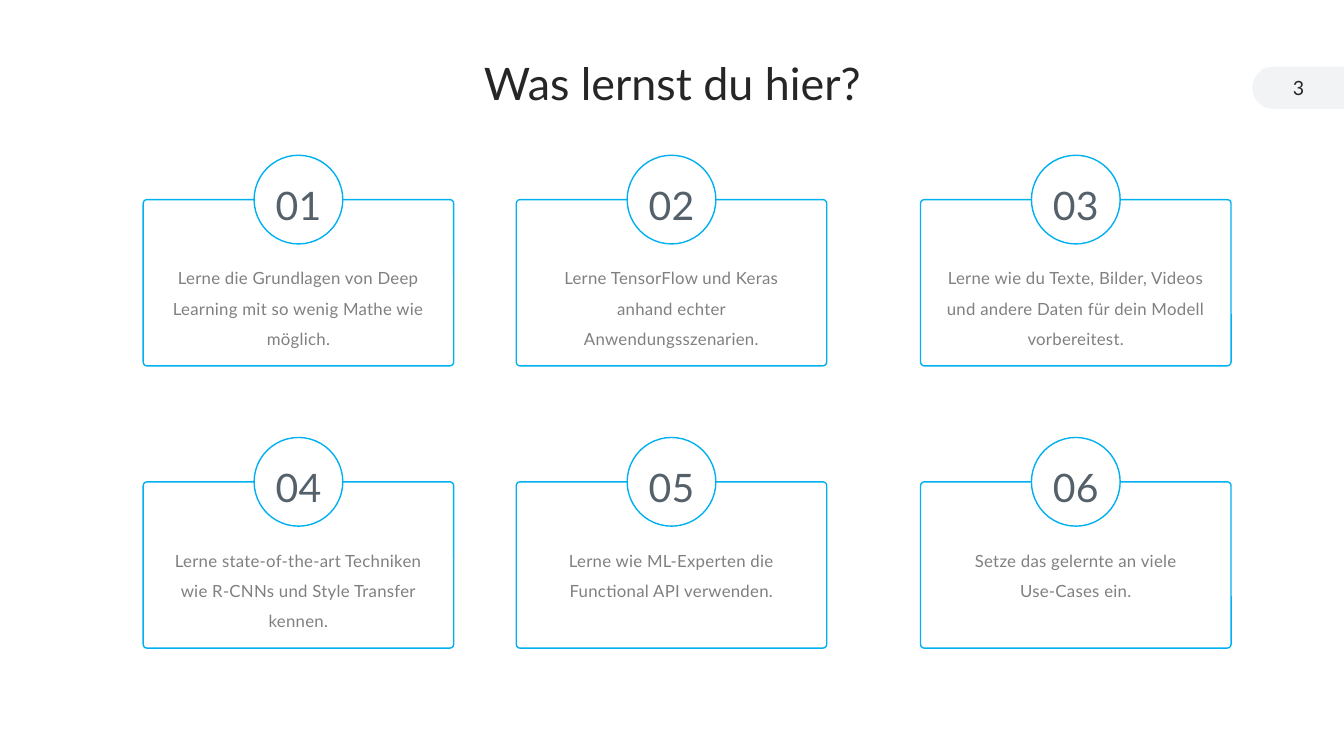
from dataclasses import dataclass

from pptx import Presentation
from pptx.dml.color import RGBColor
from pptx.enum.shapes import MSO_SHAPE
from pptx.enum.text import MSO_ANCHOR, PP_ALIGN
from pptx.util import Inches, Pt

TITLE = "Was lernst du hier?"
PAGE = "3"
GOALS = [
    "Lerne die Grundlagen von Deep Learning mit so wenig Mathe wie möglich.",
    "Lerne TensorFlow und Keras anhand echter Anwendungsszenarien.",
    "Lerne wie du Texte, Bilder, Videos und andere Daten für dein Modell vorbereitest.",
    "Lerne state-of-the-art Techniken wie R-CNNs und Style Transfer kennen.",
    "Lerne wie ML-Experten die Functional API verwenden.",
    "Setze das gelernte an viele\nUse-Cases ein.",
]


@dataclass(frozen=True)
class Theme:
    font: str = "Lato"
    ink: str = "262626"
    digit: str = "55616A"
    body: str = "808080"
    edge: str = "00B0F0"
    paper: str = "FFFFFF"
    tab: str = "F1F3F5"
    title_size: int = 32
    digit_size: int = 28
    page_size: int = 14
    body_size: int = 12


LOOK = Theme()
COLS = (1.42, 5.12, 9.13)
ROWS = (1.98, 4.78)
CARD_W, CARD_H = 3.08, 1.65
DISC = 0.88
DIGIT_W, DIGIT_H = 0.46, 0.69
BODY_W, BODY_H = 2.72, 0.97


def add_text(shapes, text, box, size, color, middle=False, lead=1.0, gap=0, wrap=True):
    """Add centred text; gap is letter spacing in hundredths of a point."""
    frame = shapes.add_textbox(*map(Inches, box)).text_frame
    frame.word_wrap = wrap
    frame.margin_left = frame.margin_right = 0
    frame.margin_top = frame.margin_bottom = Inches(0.05)
    frame.vertical_anchor = MSO_ANCHOR.MIDDLE if middle else MSO_ANCHOR.TOP
    for i, line in enumerate(text.split("\n")):
        para = frame.add_paragraph() if i else frame.paragraphs[0]
        para.alignment = PP_ALIGN.CENTER
        para.line_spacing = lead
        run = para.add_run()
        run.text = line
        run.font.name = LOOK.font
        run.font.size = Pt(size)
        run.font.color.rgb = RGBColor.from_string(color)
        if gap:
            run.font._element.set("spc", str(gap))


def add_form(shapes, kind, box, fill, edge=None):
    form = shapes.add_shape(kind, *map(Inches, box))
    form.shadow.inherit = False
    form.fill.solid()
    form.fill.fore_color.rgb = RGBColor.from_string(fill)
    if edge:
        form.line.color.rgb = RGBColor.from_string(edge)
        form.line.width = Pt(1)
    else:
        form.line.fill.background()
    return form


def add_card(slide, left, top, digit, text):
    shapes = slide.shapes.add_group_shape().shapes
    mid = left + CARD_W / 2
    card = add_form(shapes, MSO_SHAPE.ROUNDED_RECTANGLE,
                    (left, top, CARD_W, CARD_H), LOOK.paper, LOOK.edge)
    card.adjustments[0] = 0.023
    add_form(shapes, MSO_SHAPE.OVAL,
             (mid - DISC / 2, top - DISC / 2, DISC, DISC), LOOK.paper, LOOK.edge)
    add_text(shapes, digit, (mid - DIGIT_W / 2, top - DIGIT_H / 2, DIGIT_W, DIGIT_H),
             LOOK.digit_size, LOOK.digit, lead=1.25, gap=20, wrap=False)
    add_text(shapes, text, (mid - BODY_W / 2, top + 0.53, BODY_W, BODY_H),
             LOOK.body_size, LOOK.body, lead=1.5, gap=20)


def add_tab(slide):
    """Page number on a tab whose round end points left."""
    left, top, wide, high = 12.42, 0.66, 0.92, 0.42
    shift = (wide - high) / 2
    tab = add_form(slide.shapes, MSO_SHAPE.ROUND_2_SAME_RECTANGLE,
                   (left + shift, top - shift, high, wide), LOOK.tab)
    tab.adjustments[0] = 0.5
    tab.rotation = 270
    add_text(slide.shapes, PAGE, (left, top, wide, high),
             LOOK.page_size, LOOK.ink, middle=True)


def main():
    deck = Presentation()
    deck.slide_width, deck.slide_height = Inches(13.33), Inches(7.5)
    slide = deck.slides.add_slide(deck.slide_layouts[6])
    add_tab(slide)
    add_text(slide.shapes, TITLE, (0.92, 0.46, 11.5, 0.78),
             LOOK.title_size, LOOK.ink, middle=True, lead=0.9)
    for i, goal in enumerate(GOALS):
        row, col = divmod(i, len(COLS))
        add_card(slide, COLS[col], ROWS[row], f"{i + 1:02}", goal)
    deck.save("out.pptx")


if __name__ == "__main__":
    main()
